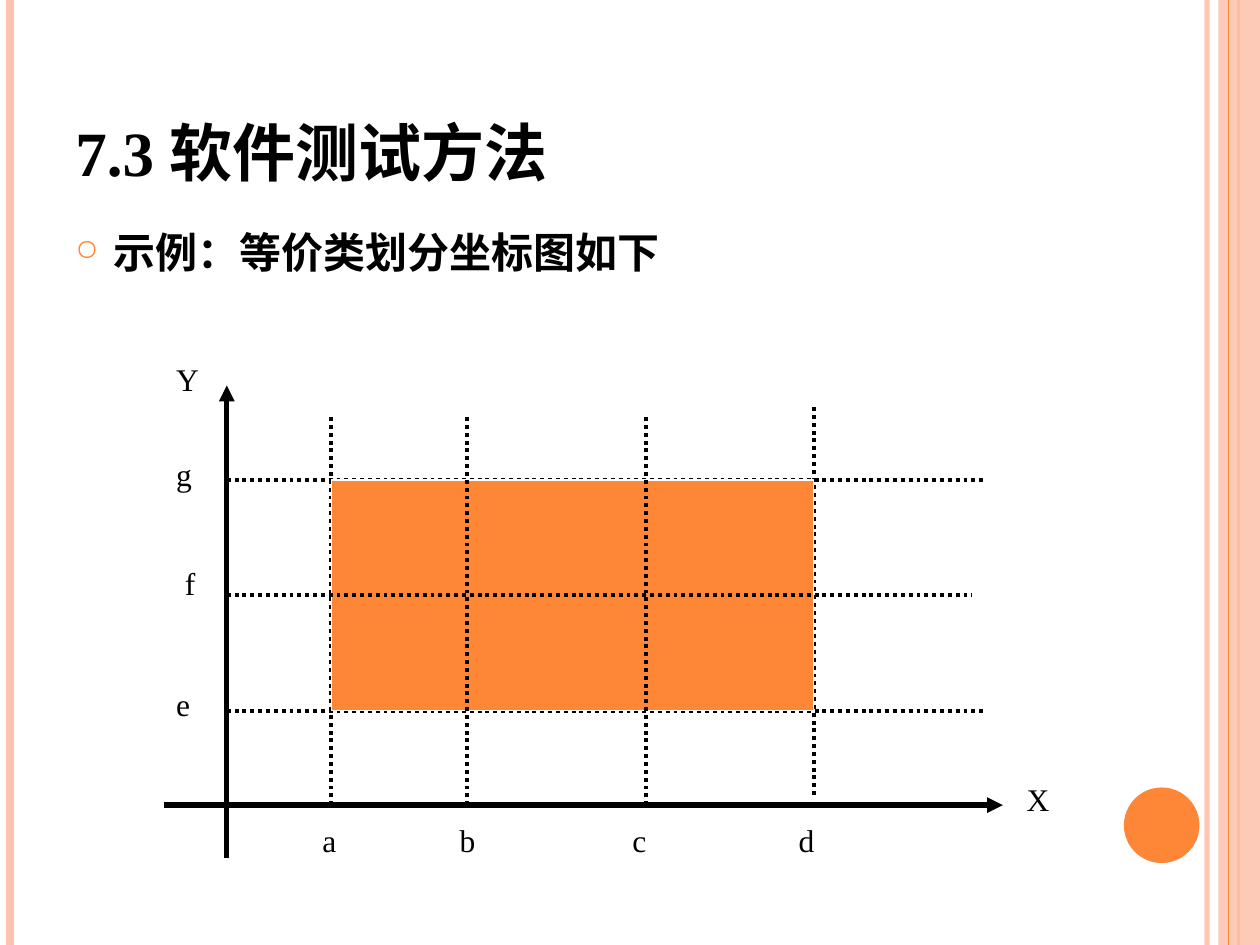
from dataclasses import dataclass
from typing import Any

from lxml import etree
from pptx import Presentation
from pptx.dml.color import RGBColor
from pptx.enum.dml import MSO_LINE
from pptx.enum.lang import MSO_LANGUAGE_ID
from pptx.enum.shapes import MSO_CONNECTOR, MSO_SHAPE
from pptx.enum.text import MSO_ANCHOR
from pptx.oxml.ns import qn
from pptx.util import Inches, Pt

BLACK = RGBColor(0x00, 0x00, 0x00)
WHITE = RGBColor(0xFF, 0xFF, 0xFF)
ORANGE = RGBColor(0xFE, 0x86, 0x37)
PEACH = RGBColor(0xFE, 0xC3, 0xAE)
STRAIGHT = MSO_CONNECTOR.STRAIGHT
RECT, OVAL = MSO_SHAPE.RECTANGLE, MSO_SHAPE.OVAL
DOTS = MSO_LINE.ROUND_DOT
TOP, BOTTOM = MSO_ANCHOR.TOP, MSO_ANCHOR.BOTTOM
CHINESE = MSO_LANGUAGE_ID.SIMPLIFIED_CHINESE
COLS, ROWS = 100, 75


def add_tag(parent, tag, **attrs):
    return etree.SubElement(parent, qn(tag), attrs)


def fade(fill, share):
    node = next(fill.iter(qn("a:srgbClr")))
    add_tag(node, "a:alpha", val=str(share * 1000))


@dataclass
class Board:
    """Draws styled elements on one slide, placed by grid columns and rows."""

    deck: Any
    slide: Any
    font: str = "Times New Roman"

    def grid(self, col, row):
        return (round(self.deck.slide_width * col / COLS),
                round(self.deck.slide_height * row / ROWS))

    def line(self, start, end, width, color=BLACK, dash=None, arrow=False, alpha=None):
        link = self.slide.shapes.add_connector(
            STRAIGHT, *self.grid(*start), *self.grid(*end))
        props = link._element.spPr
        link.line.color.rgb = color
        link.line.width = Pt(width)
        if dash:
            link.line.dash_style = dash
        stroke = props.find(qn("a:ln"))
        if alpha:
            fade(stroke, alpha)
        if arrow:
            add_tag(stroke, "a:tailEnd", type="triangle")
        add_tag(props, "a:effectLst")

    def shape(self, kind, spot, size, fill, edge=None, alpha=None):
        shape = self.slide.shapes.add_shape(kind, *self.grid(*spot), *self.grid(*size))
        shape.shadow.inherit = False
        shape.fill.solid()
        shape.fill.fore_color.rgb = fill
        if alpha:
            fade(shape._element.spPr.find(qn("a:solidFill")), alpha)
        if edge:
            shape.line.color.rgb = edge
            shape.line.width = Pt(0.75)
        else:
            shape.line.fill.background()

    def text(self, words, spot, size, points=18, bold=False, anchor=TOP, bullet=None):
        box = self.slide.shapes.add_textbox(*self.grid(*spot), *self.grid(*size))
        frame = box.text_frame
        frame.word_wrap = True
        frame.vertical_anchor = anchor
        para = frame.paragraphs[0]
        if bullet:
            props = para._p.get_or_add_pPr()
            props.set("marL", str(Inches(0.3)))
            props.set("indent", str(-Inches(0.3)))
            tint = add_tag(props, "a:buClr")
            add_tag(tint, "a:srgbClr", val=str(ORANGE))
            add_tag(props, "a:buSzPct", val="70000")
            add_tag(props, "a:buChar", char=bullet)
        run = para.add_run()
        run.text = words
        run.font.name = self.font
        run.font.size = Pt(points)
        run.font.bold = bold
        run.font.color.rgb = BLACK
        run.font.language_id = CHINESE


def draw_frame(board):
    def stripe(col, width, color, alpha=None):
        board.line((col, 0), (col, ROWS), width, color, alpha=alpha)

    stripe(95.8, 3, PEACH, 93)
    stripe(0.8, 4.5, PEACH)
    stripe(98.3, 1.5, ORANGE)
    board.shape(RECT, (96.7, 0), (3.3, ROWS), PEACH, alpha=87)
    stripe(97.5, 0.75, ORANGE)
    board.shape(OVAL, (89.2, 62.5), (6, 6), ORANGE)


def draw_chart(board):
    left, right, top, base = 26.3, 64.6, 38.1, 56.4
    axis_x, axis_y = 18, 63.9

    def rule_x(col, low=axis_y, high=33.1):
        board.line((col, low), (col, high), 2.25, dash=DOTS)

    def rule_y(row, end=78):
        board.line((axis_x, row), (end, row), 2.25, dash=DOTS)

    board.line((13, axis_y), (79.6, axis_y), 3, arrow=True)
    board.line((axis_x, 68.1), (axis_x, 30.6), 3, arrow=True)
    rule_y(base)
    rule_y(top)
    rule_x(left)
    rule_x(right, 63.1, 32.2)
    board.shape(RECT, (left, top), (right - left, base - top), ORANGE, WHITE)
    rule_x(37.1)
    rule_x(51.3)
    rule_y((top + base) / 2, 77.1)

    for name, col in zip("abcd", (24.6, 35.5, 49.2, 62.4)):
        board.text(name, (col, 64.7), (3.3, 4))
    for name, col, row in (("g", 13, 35.6), ("f", 13.7, 44.3), ("e", 13, 53.9)):
        board.text(name, (col, row), (3.3, 4))
    board.text("Y", (13, 28.1), (6.7, 4))
    board.text("X", (80.5, 61.4), (5.8, 4))


def main():
    deck = Presentation()
    deck.slide_width, deck.slide_height = Inches(10), Inches(7.5)
    board = Board(deck, deck.slides.add_slide(deck.slide_layouts[6]))
    draw_frame(board)
    board.text("7.3 软件测试方法", (5, 3), (81.7, 12.5), 36, True, BOTTOM)
    board.text("示例：等价类划分坐标图如下", (5, 17.5), (81.7, 53.3), 24, True, bullet="○")
    draw_chart(board)
    deck.save("out.pptx")


if __name__ == "__main__":
    main()
